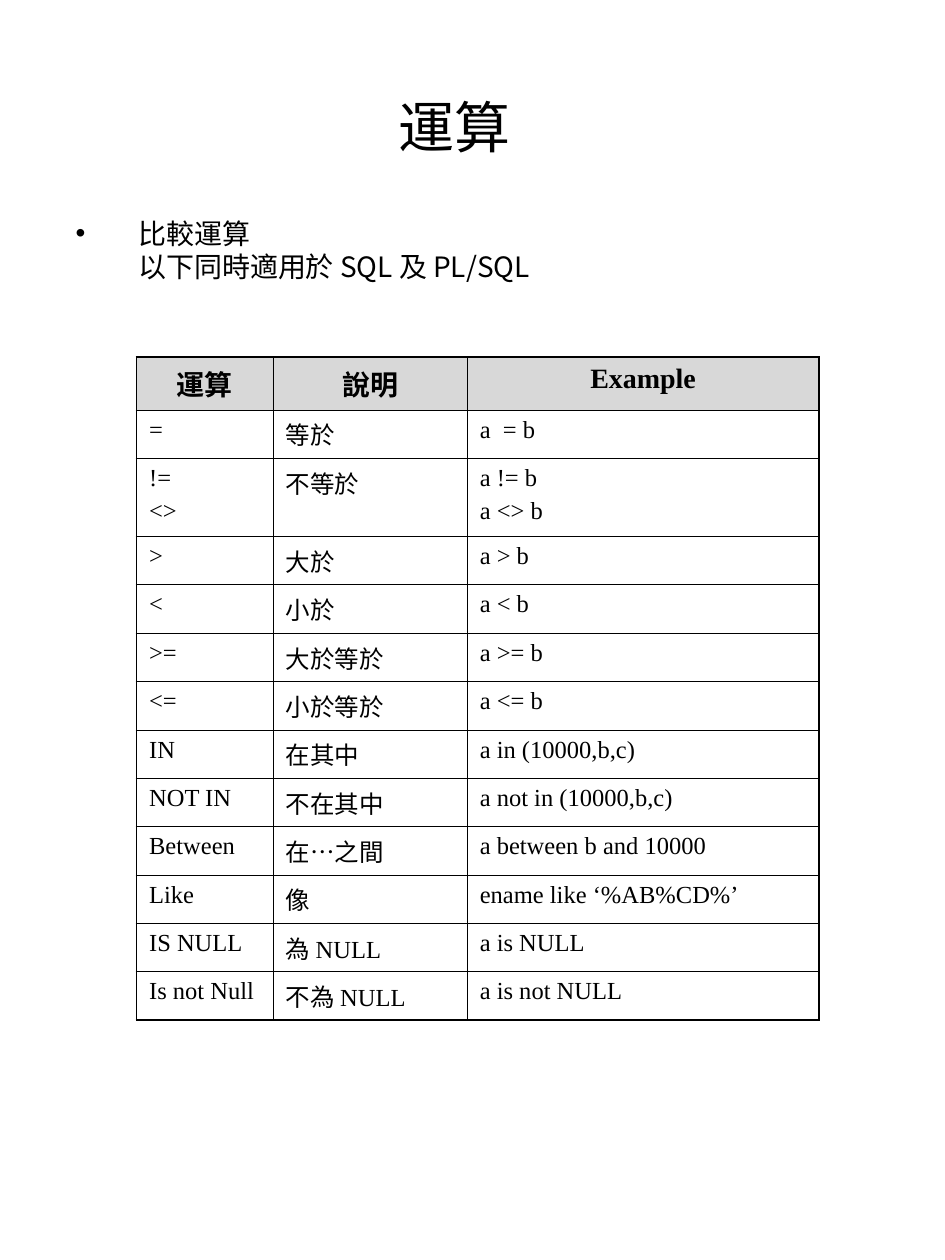
from dataclasses import dataclass
from typing import NamedTuple

from lxml import etree
from pptx import Presentation
from pptx import util as u
from pptx.dml.color import RGBColor
from pptx.enum import text
from pptx.oxml import ns

GRID_COLUMNS, GRID_ROWS = 90, 120


@dataclass(frozen=True)
class Theme:
    ink: str = "000000"
    header_fill: str = "B2B2B2"
    header_opacity: int = 50
    serif: str = "Times New Roman"
    sans: str = "Noto Sans CJK TC"
    title_size: float = 32
    body_size: float = 16
    cell_size: float = 14
    outer_line: float = 1.08
    inner_line: float = 0.45


class Area(NamedTuple):
    """Left, top, width and height in grid units."""
    left: float
    top: float
    width: float
    height: float


class Operator(NamedTuple):
    symbol: str
    meaning: str
    example: str


THEME = Theme()
TITLE_AREA = Area(5, 8, 76.6, 8)
BODY_AREA = Area(6, 20, 79, 7.7)
TABLE_AREA = Area(13, 34, 65, 62.4)
TABLE_COLUMNS = (13, 18.5, 33.5)
SINGLE_ROW, DOUBLE_ROW = 4.58, 7.44

HEADER = Operator("運算", "說明", "Example")
OPERATORS = [
    Operator("=", "等於", "a  = b"),
    Operator("!=\n<>", "不等於", "a != b\na <> b"),
    Operator(">", "大於", "a > b"),
    Operator("<", "小於", "a < b"),
    Operator(">=", "大於等於", "a >= b"),
    Operator("<=", "小於等於", "a <= b"),
    Operator("IN", "在其中", "a in (10000,b,c)"),
    Operator("NOT IN", "不在其中", "a not in (10000,b,c)"),
    Operator("Between", "在…之間", "a between b and 10000"),
    Operator("Like", "像", "ename like ‘%AB%CD%’"),
    Operator("IS NULL", "為 NULL", "a is NULL"),
    Operator("Is not Null", "不為 NULL", "a is not NULL"),
]


def across(columns: float) -> int:
    return round(SLIDE_WIDTH * columns / GRID_COLUMNS)


def down(rows: float) -> int:
    return round(SLIDE_HEIGHT * rows / GRID_ROWS)


SLIDE_WIDTH, SLIDE_HEIGHT = u.Inches(7.5), u.Inches(10)


def place(shape, area: Area) -> None:
    shape.left, shape.top = across(area.left), down(area.top)
    shape.width, shape.height = across(area.width), down(area.height)


def write(frame, wording: str, *, size: float, font: str = THEME.serif, bold: bool = False,
          align=text.PP_ALIGN.LEFT, before: float = 0) -> None:
    """Fill a text frame with one paragraph for each line of wording."""
    frame.text = wording
    for para in frame.paragraphs:
        para.alignment = align
        para.space_before = u.Pt(before)
        for span in para.runs:
            span.font.size = u.Pt(size)
            span.font.bold = bold
            span.font.name = font
            span.font.color.rgb = RGBColor.from_string(THEME.ink)
            east_asian = etree.SubElement(span.font._element, ns.qn("a:ea"))
            east_asian.set("typeface", THEME.sans)


def indent(para, bullet: str = "") -> None:
    """Indent by half an inch, with a hanging bullet if one is given."""
    properties = para._p.get_or_add_pPr()
    properties.set("marL", str(u.Inches(0.5)))
    properties.set("indent", str(-u.Inches(0.5) if bullet else 0))
    mark = etree.SubElement(properties, ns.qn("a:buChar" if bullet else "a:buNone"))
    if bullet:
        mark.set("char", bullet)


def set_borders(cell, widths: dict[str, float]) -> None:
    properties = cell._tc.get_or_add_tcPr()
    for position, (side, width) in enumerate(widths.items()):
        line = etree.Element(ns.qn(f"a:ln{side}"), w=str(u.Pt(width)))
        fill = etree.SubElement(line, ns.qn("a:solidFill"))
        etree.SubElement(fill, ns.qn("a:srgbClr"), val=THEME.ink)
        properties.insert(position, line)


def shade(cell) -> None:
    cell.fill.solid()
    cell.fill.fore_color.rgb = RGBColor.from_string(THEME.header_fill)
    color = cell._tc.tcPr.find(".//" + ns.qn("a:srgbClr"))
    etree.SubElement(color, ns.qn("a:alpha"), val=str(THEME.header_opacity * 1000))


def add_operator_table(page) -> None:
    records = [HEADER, *OPERATORS]
    last_row, last_column = len(records) - 1, len(TABLE_COLUMNS) - 1
    holder = page.shapes.add_table(len(records), len(TABLE_COLUMNS), 0, 0, 1, 1)
    place(holder, TABLE_AREA)
    table = holder.table
    for column, width in zip(table.columns, TABLE_COLUMNS):
        column.width = across(width)
    for r, record in enumerate(records):
        table.rows[r].height = down(DOUBLE_ROW if "\n" in record.symbol else SINGLE_ROW)
        for c, wording in enumerate(record):
            cell = table.cell(r, c)
            if r == 0:
                shade(cell)
                write(cell.text_frame, wording, size=THEME.body_size, bold=True,
                      align=text.PP_ALIGN.CENTER, before=4)
            else:
                cell.fill.background()
                write(cell.text_frame, wording, size=THEME.cell_size, before=3.5)
            on_edge = {"L": c == 0, "R": c == last_column, "T": r == 0, "B": r == last_row}
            set_borders(cell, {side: THEME.outer_line if outer else THEME.inner_line
                               for side, outer in on_edge.items()})


def main() -> None:
    deck = Presentation()
    deck.slide_width, deck.slide_height = SLIDE_WIDTH, SLIDE_HEIGHT
    page = deck.slides.add_slide(deck.slide_layouts[1])

    title, body = page.placeholders
    place(title, TITLE_AREA)
    title.text_frame.auto_size = text.MSO_AUTO_SIZE.NONE
    title.text_frame.vertical_anchor = text.MSO_ANCHOR.MIDDLE
    write(title.text_frame, "運算", size=THEME.title_size, align=text.PP_ALIGN.CENTER)

    place(body, BODY_AREA)
    body.text_frame.auto_size = text.MSO_AUTO_SIZE.NONE
    write(body.text_frame, "比較運算\n以下同時適用於 SQL 及 PL/SQL",
          size=THEME.body_size, font=THEME.sans)
    for para, bullet in zip(body.text_frame.paragraphs, ("•", "")):
        indent(para, bullet)

    add_operator_table(page)
    deck.save("out.pptx")


if __name__ == "__main__":
    main()
